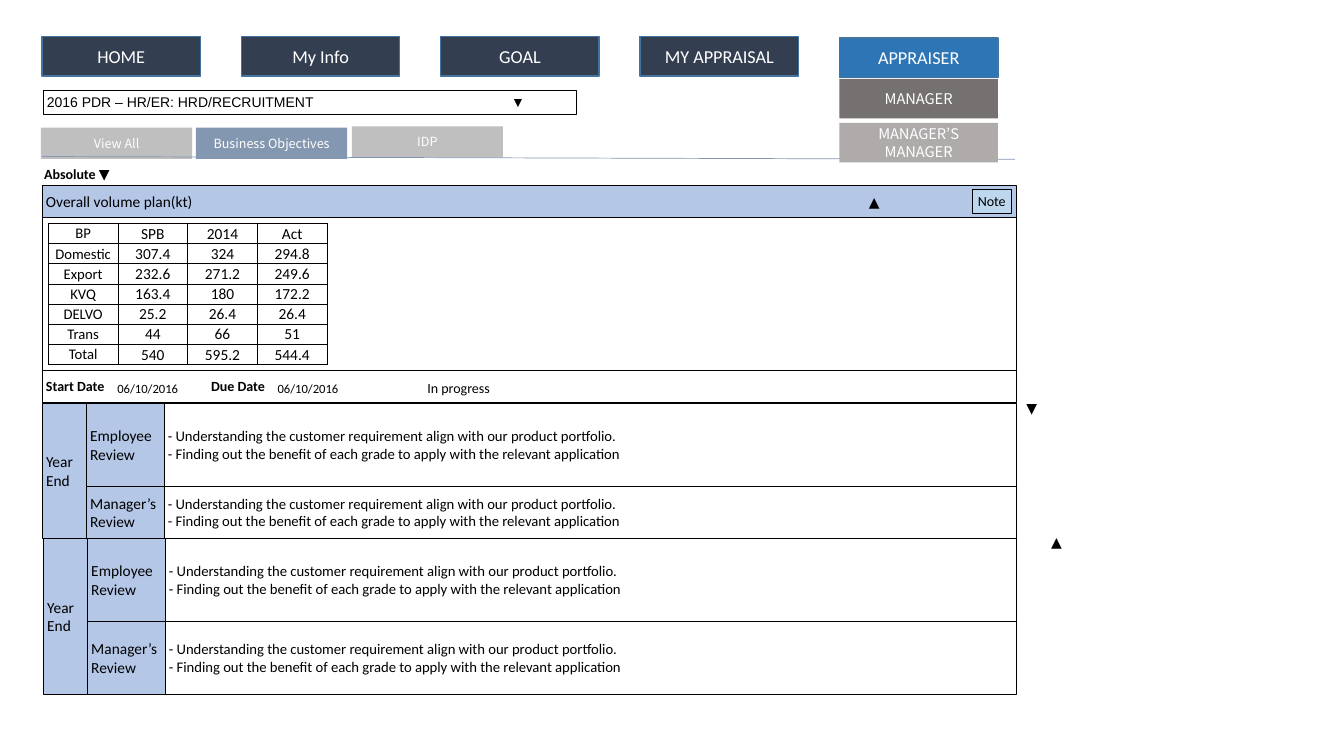
from dataclasses import dataclass

from lxml import etree
from pptx import Presentation
from pptx.dml.color import RGBColor
from pptx.enum.shapes import MSO_CONNECTOR, MSO_SHAPE
from pptx.enum.text import MSO_ANCHOR, PP_ALIGN
from pptx.oxml.ns import qn
from pptx.util import Pt

RECT = MSO_SHAPE.RECTANGLE
STRAIGHT = MSO_CONNECTOR.STRAIGHT
MIDDLE = MSO_ANCHOR.MIDDLE
LEFT, CENTER = PP_ALIGN.LEFT, PP_ALIGN.CENTER


@dataclass(frozen=True)
class Theme:
    font: str = "Calibri"
    tab_font: str = "Noto Sans CJK KR"
    field_font: str = "Arial"
    black: str = "000000"
    white: str = "FFFFFF"
    navy: str = "333F50"
    nav_line: str = "43739E"
    blue: str = "2E75B6"
    pale_blue: str = "B4C7E7"
    note_blue: str = "BDD7EE"
    slate: str = "8497B0"
    tab_gray: str = "BFBFBF"
    dark_gray: str = "767171"
    mid_gray: str = "AFABAB"
    nav: float = 13
    heading: float = 11
    body: float = 10.5
    small: float = 10
    tiny: float = 9


T = Theme()
PANEL_LEFT, PANEL_RIGHT = 30.2, 725.7
NAV_LEFT, NAV_STEP, NAV_W, NAV_H = 30, 142.4, 113.2, 28.2
TAB_W, TAB_H = 108, 22.3

VOLUMES = [
    ["BP", "SPB", "2014", "Act"],
    ["Domestic", "307.4", "324", "294.8"],
    ["Export", "232.6", "271.2", "249.6"],
    ["KVQ", "163.4", "180", "172.2"],
    ["DELVO", "25.2", "26.4", "26.4"],
    ["Trans", "44", "66", "51"],
    ["Total", "540", "595.2", "544.4"],
]
REVIEW = ("- Understanding the customer requirement align with our product portfolio.\n"
          "- Finding out the benefit of each grade to apply with the relevant application")


def color(value):
    return RGBColor.from_string(value)


def write(tf, text, size, font=T.font, ink=T.black, align=LEFT, bold=False,
          inset=2.7, tab=None):
    """Fill a text frame; tab is the position of one left tab stop."""
    tf.word_wrap = True
    tf.vertical_anchor = MIDDLE
    tf.margin_left = tf.margin_right = tf.margin_top = tf.margin_bottom = Pt(inset)
    tf.text = text
    for p in tf.paragraphs:
        if tab:
            tabs = etree.SubElement(p._p.get_or_add_pPr(), qn("a:tabLst"))
            etree.SubElement(tabs, qn("a:tab"), pos=str(Pt(tab)), algn="l")
        p.alignment = align
        p.font.name = font
        p.font.size = Pt(size)
        p.font.bold = bold
        p.font.color.rgb = color(ink)


def add_box(s, x, y, w, h, text="", size=T.small, fill=None, line=T.black,
            line_w=0.25, **style):
    sp = s.shapes.add_shape(RECT, Pt(x), Pt(y), Pt(w), Pt(h))
    sp.shadow.inherit = False
    if fill:
        sp.fill.solid()
        sp.fill.fore_color.rgb = color(fill)
    else:
        sp.fill.background()
    if line:
        sp.line.color.rgb = color(line)
        sp.line.width = Pt(line_w)
    else:
        sp.line.fill.background()
    if text:
        write(sp.text_frame, text, size, **style)


def add_label(s, x, y, w, h, text, size=T.small, **style):
    sp = s.shapes.add_textbox(Pt(x), Pt(y), Pt(w), Pt(h))
    write(sp.text_frame, text, size, **style)
    return sp.text_frame


def add_marker(s, x, y, symbol):
    add_label(s, x, y, 17.3, 19.4, symbol, align=CENTER, inset=0)


def add_nav(s, x, y, text, fill=T.navy):
    add_box(s, x, y, NAV_W, NAV_H, text, T.nav, fill, T.nav_line, 1,
            ink=T.white, align=CENTER)


def add_tab(s, x, y, w, h, text, fill, size):
    add_box(s, x, y, w, h, text, size, fill, None, font=T.tab_font,
            ink=T.white, align=CENTER)


def add_rule(s, x1, y1, x2, y2):
    c = s.shapes.add_connector(STRAIGHT, Pt(x1), Pt(y1), Pt(x2), Pt(y2))
    c.line.color.rgb = color(T.slate)
    c.line.width = Pt(0.5)
    etree.SubElement(c._element.spPr, qn("a:effectLst"))


def border_cell(cell):
    tcPr = cell._tc.get_or_add_tcPr()
    for side in ("lnL", "lnR", "lnT", "lnB"):
        ln = etree.SubElement(tcPr, qn(f"a:{side}"), w=str(Pt(0.5)))
        fill = etree.SubElement(ln, qn("a:solidFill"))
        etree.SubElement(fill, qn("a:srgbClr"), val=T.black)


def add_volume_table(s, x, y, col_w, row_h):
    rows, cols = len(VOLUMES), len(VOLUMES[0])
    table = s.shapes.add_table(rows, cols, Pt(x), Pt(y), Pt(col_w * cols),
                               Pt(row_h * rows)).table
    table.first_row = table.horz_banding = False
    for col in table.columns:
        col.width = Pt(col_w)
    for r, values in enumerate(VOLUMES):
        table.rows[r].height = Pt(row_h)
        for c, value in enumerate(values):
            cell = table.cell(r, c)
            border_cell(cell)
            cell.fill.background()
            write(cell.text_frame, value, T.heading if c else T.body, align=CENTER)
            cell.vertical_anchor = MIDDLE
            cell.margin_left = cell.margin_right = cell.margin_top = Pt(0.5)
            cell.margin_bottom = 0


def add_year_end(s, x, y, employee_h, manager_h):
    """Add a year-end block with an employee row above a manager row."""
    year_w, role_w = 31.5, 55.5
    text_x = x + year_w + role_w
    for role, top, h in (("Employee", y, employee_h),
                         ("Manager’s", y + employee_h, manager_h)):
        add_box(s, text_x, top, PANEL_RIGHT - text_x, h, REVIEW, T.body)
        add_box(s, x + year_w, top, role_w, h, f"{role}\vReview", T.heading, T.pale_blue)
    add_box(s, x, y, year_w, employee_h + manager_h, "Year\vEnd", T.heading, T.pale_blue)


def add_menu(s):
    for i, name in enumerate(("HOME", "My Info", "GOAL", "MY APPRAISAL")):
        add_nav(s, NAV_LEFT + i * NAV_STEP, 26.2, name)
    add_box(s, 30.8, 64.5, 381, 17.3, "2016 PDR – HR/ER: HRD/RECRUITMENT\t▼",
            font=T.field_font, tab=331.5)
    add_tab(s, 29.3, 91.2, TAB_W, TAB_H, "View All", T.tab_gray, T.tiny)
    add_tab(s, 140, 91.2, TAB_W, TAB_H, "Business Objectives", T.slate, T.tiny)
    add_tab(s, 251.3, 90.2, TAB_W, TAB_H, "IDP", T.tab_gray, T.tiny)
    add_rule(s, 30.2, 111.8, 725, 113.8)
    appraiser_x = NAV_LEFT + 4 * NAV_STEP
    add_nav(s, appraiser_x, 27, "APPRAISER", T.blue)
    add_tab(s, appraiser_x, 56.3, NAV_W, NAV_H, "MANAGER", T.dark_gray, T.body)
    add_tab(s, appraiser_x, 87.8, NAV_W, NAV_H, "MANAGER’S MANAGER", T.mid_gray, T.body)


def add_plan(s):
    width = PANEL_RIGHT - PANEL_LEFT
    add_box(s, PANEL_LEFT, 154.3, width, 110.3)
    add_box(s, PANEL_LEFT, 132.5, width, 22.5, "Overall volume plan(kt)",
            T.heading, T.pale_blue)
    add_box(s, PANEL_LEFT, 264.6, width, 22.5, "Start Date\tDue Date",
            bold=True, tab=118)
    tf = add_label(s, PANEL_LEFT, 116.8, 119.5, 15.1, "Absolute ", bold=True, inset=1.4)
    r = tf.paragraphs[0].add_run()
    r.text = "▼"
    r.font.bold = False
    add_volume_table(s, 34.5, 159.6, 49.8, 14.4)
    add_box(s, 694.3, 135.2, 28.2, 17.3, "Note", fill=T.note_blue, align=CENTER)
    for x in (78.5, 193):
        add_label(s, x, 271.7, 54, 11.5, "06/10/2016", T.tiny, align=CENTER)
    add_box(s, 292.3, 271.7, 70.5, 11.5, "In progress", fill=T.white, line=None, align=CENTER)
    add_marker(s, 615.8, 134.5, "▲")


def main():
    prs = Presentation()
    prs.slide_width, prs.slide_height = Pt(960), Pt(540)
    s = prs.slides.add_slide(prs.slide_layouts[6])
    add_menu(s)
    add_plan(s)
    add_year_end(s, PANEL_LEFT, 288, 59.4, 37)
    add_marker(s, 728.3, 282, "▼")
    add_year_end(s, 31, 384.6, 59.3, 52)
    add_marker(s, 746, 377.5, "▲")
    prs.save("out.pptx")


if __name__ == "__main__":
    main()
